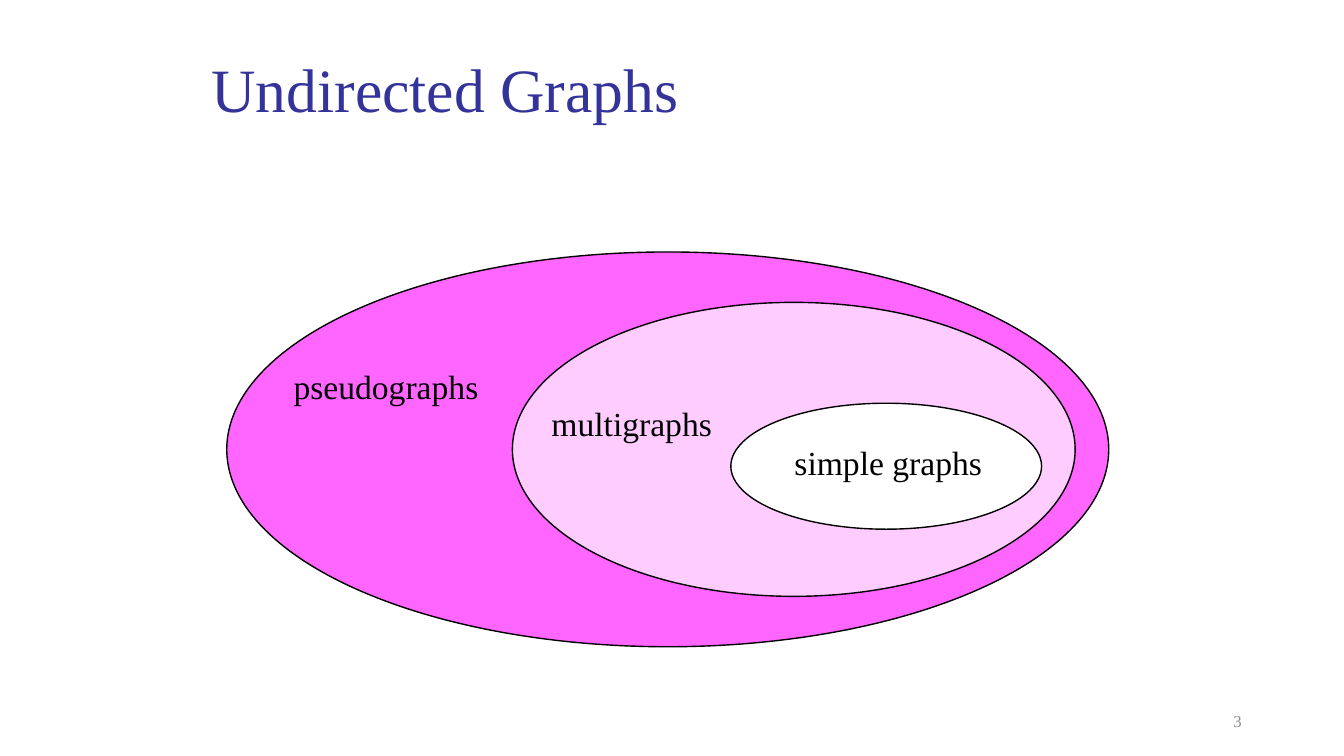
import dataclasses

import pptx
import pptx.dml.color
import pptx.enum.shapes
import pptx.enum.text
import pptx.util

ALIGN = pptx.enum.text.PP_ALIGN


@dataclasses.dataclass(frozen=True)
class Theme:
    """Colours, font and type sizes of the slide."""
    font: str = "Times New Roman"
    heading: str = "333399"
    ink: str = "000000"
    muted: str = "8C8C8C"
    outer: str = "FF66FF"
    middle: str = "FFCCFF"
    inner: str = "FFFFFF"
    heading_size: int = 44
    label_size: int = 24
    number_size: int = 12
    outline: int = 1


class Board:
    """Draws themed elements on a slide grid of 160 columns by 90 rows."""

    def __init__(self, deck, theme):
        """Add a blank slide and measure its grid."""
        self.theme = theme
        self.slide = deck.slides.add_slide(deck.slide_layouts[6])
        self.column = deck.slide_width / 160
        self.row = deck.slide_height / 90

    def place(self, left, top, width, height):
        """Turn grid units into slide lengths."""
        return (round(left * self.column), round(top * self.row),
                round(width * self.column), round(height * self.row))

    def color(self, code):
        """Give the colour object for a hex code."""
        return pptx.dml.color.RGBColor.from_string(code)

    def text(self, words, area, size, color, align, wrap=True, spacing=None):
        """Write one vertically centred line of text."""
        frame = self.slide.shapes.add_textbox(*self.place(*area)).text_frame
        frame.word_wrap = wrap
        frame.vertical_anchor = pptx.enum.text.MSO_ANCHOR.MIDDLE
        line = frame.paragraphs[0]
        line.alignment = align
        line.line_spacing = spacing
        run = line.add_run()
        run.text = words
        run.font.name = self.theme.font
        run.font.size = pptx.util.Pt(size)
        run.font.color.rgb = self.color(color)

    def title(self, words, area):
        """Write the slide title."""
        self.text(words, area, self.theme.heading_size, self.theme.heading,
                  ALIGN.LEFT, spacing=0.9)

    def number(self, words, area):
        """Write the slide number."""
        self.text(words, area, self.theme.number_size, self.theme.muted, ALIGN.RIGHT)

    def label(self, words, area):
        """Write the name of a graph class."""
        self.text(words, area, self.theme.label_size, self.theme.ink,
                  ALIGN.CENTER, wrap=False)

    def ellipse(self, area, fill):
        """Draw one outlined set of the diagram."""
        region = self.slide.shapes.add_shape(
            pptx.enum.shapes.MSO_SHAPE.OVAL, *self.place(*area))
        region.shadow.inherit = False
        region.fill.solid()
        region.fill.fore_color.rgb = self.color(fill)
        region.line.color.rgb = self.color(self.theme.ink)
        region.line.width = pptx.util.Pt(self.theme.outline)


def main():
    """Build and save the slide."""
    deck = pptx.Presentation()
    deck.slide_width = pptx.util.Inches(13.333)
    deck.slide_height = pptx.util.Inches(7.5)
    theme = Theme()
    board = Board(deck, theme)

    board.number("3", (113, 83.4, 36, 4.8))
    board.title("Undirected Graphs", (24, 3, 109.7, 16))

    graph_classes = [
        ("pseudographs", theme.outer, (27, 30, 105, 47), (33.25, 43, 25.4, 6)),
        ("multigraphs", theme.middle, (61, 36, 67, 35), (64.2, 47.4, 22, 6)),
        ("simple graphs", theme.inner, (87, 48, 37, 15), (93.25, 52, 25, 6)),
    ]
    for name, fill, region, caption in graph_classes:
        board.ellipse(region, fill)
        board.label(name, caption)

    deck.save("out.pptx")


if __name__ == "__main__":
    main()
